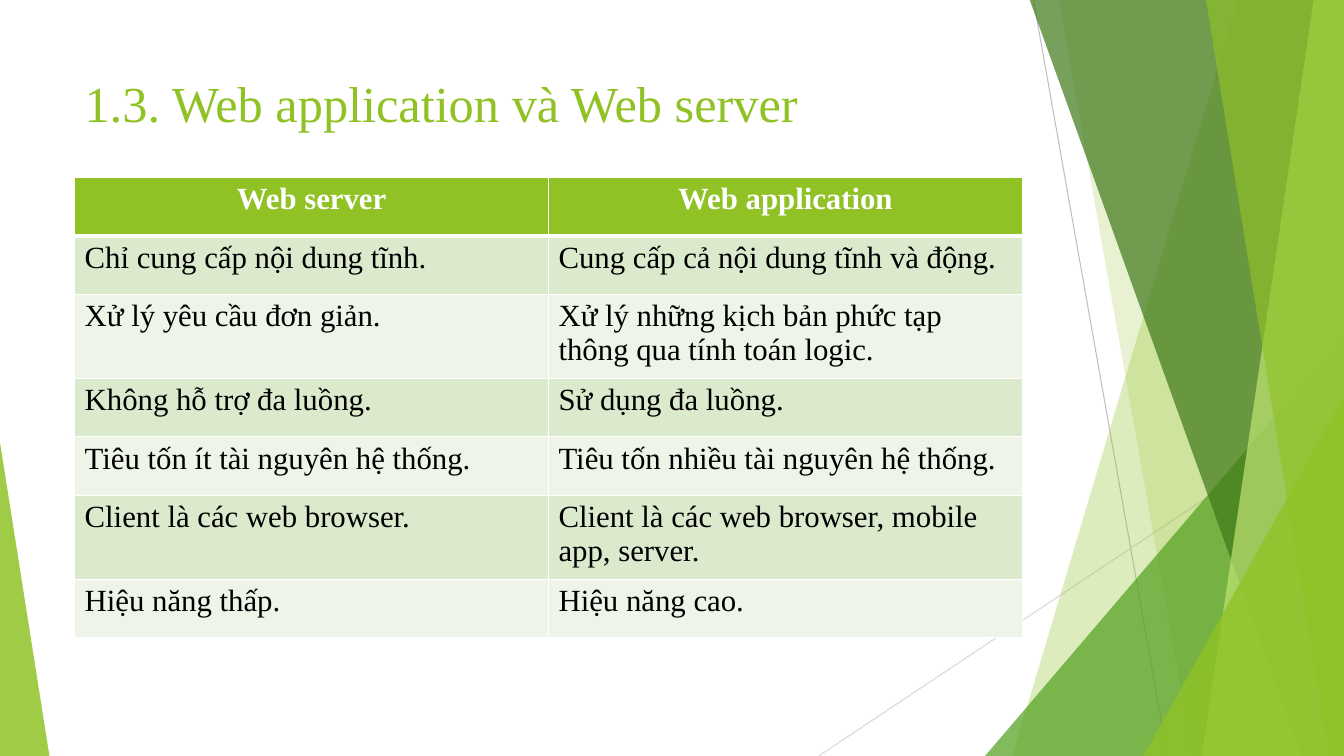
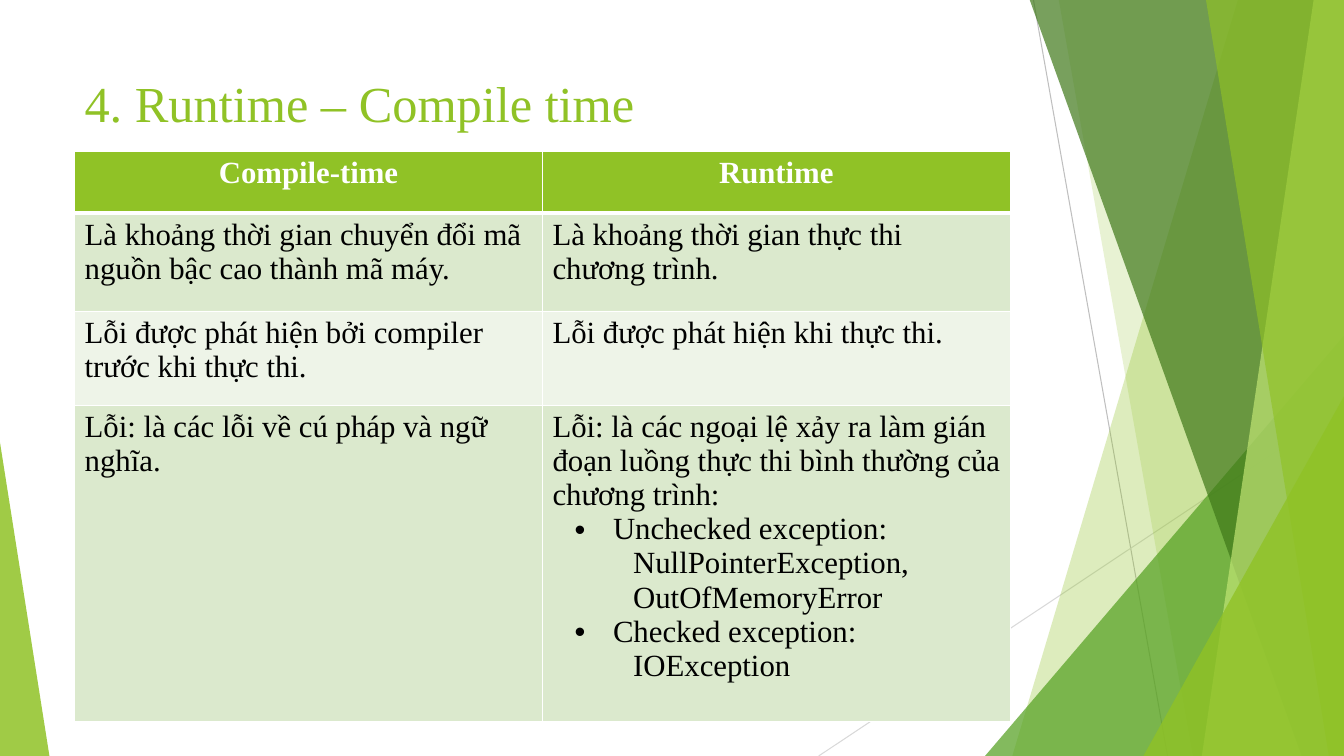
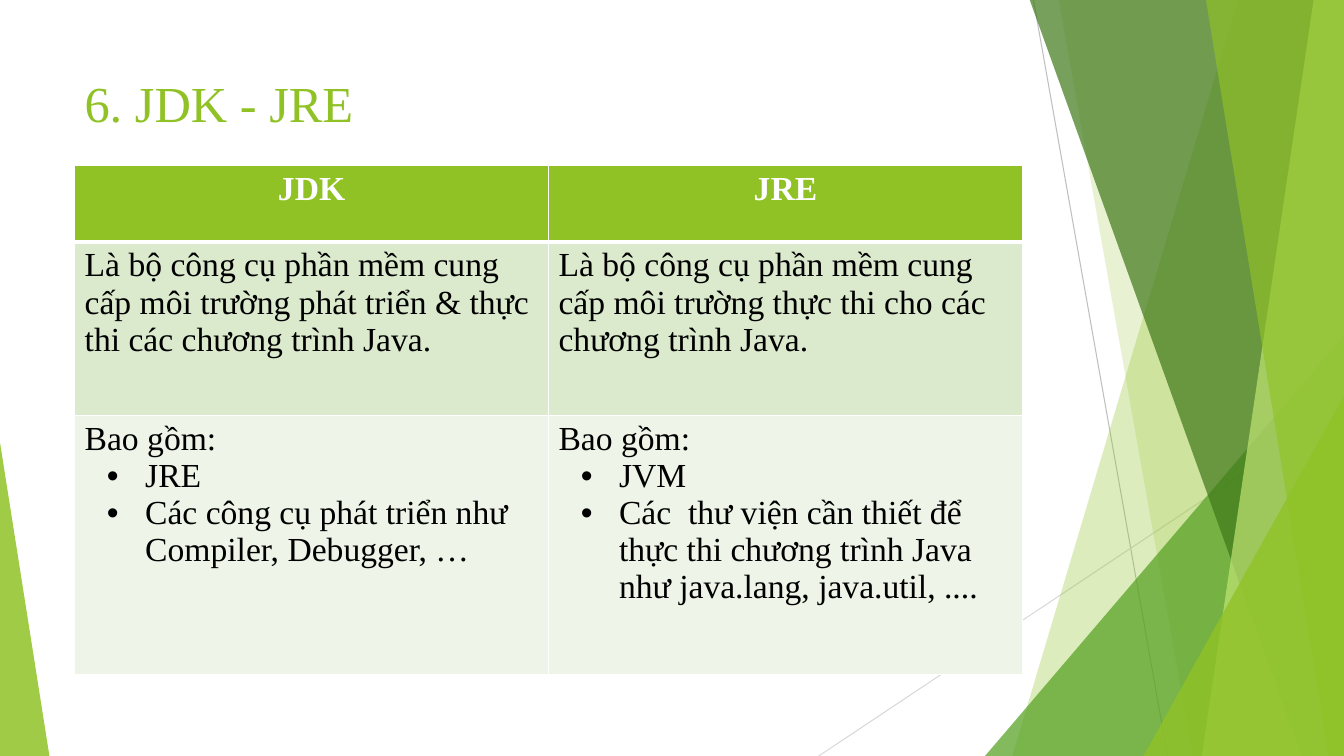
from dataclasses import dataclass
from typing import Any

from lxml import etree
from pptx import Presentation
from pptx.dml.color import RGBColor
from pptx.enum.shapes import MSO_CONNECTOR, MSO_SHAPE
from pptx.enum.text import MSO_ANCHOR, PP_ALIGN
from pptx.oxml.ns import qn
from pptx.util import Emu, Pt

STRAIGHT = MSO_CONNECTOR.STRAIGHT
TRIANGLE = MSO_SHAPE.ISOSCELES_TRIANGLE
TOP = MSO_ANCHOR.TOP
LEFT, CENTER = PP_ALIGN.LEFT, PP_ALIGN.CENTER

EMU_PER_PX = 9144
SLIDE_WIDTH, SLIDE_HEIGHT = 1333, 750
BAND_TOP = -1
MARGIN = 74
TITLE_TOP, TITLE_WIDTH = 67, 940
LINE_WEIGHT, HEADER_RULE_WEIGHT = 1, 3

COLORS = {
    "lime": "90C226",
    "green": "54A021",
    "forest": "3F7819",
    "pale_lime": "C0E474",
    "line": "BFBFBF",
    "light_line": "D9D9D9",
    "row_dark": "DBE9CD",
    "row_light": "EEF4E8",
    "white": "FFFFFF",
    "black": "000000",
}
FONT = "Times New Roman"
TITLE_FORMAT = {"name": FONT, "size": Pt(36), "bold": False}


@dataclass(frozen=True)
class Ray:
    start: tuple[int, int]
    end: tuple[int, int]
    color: str


@dataclass(frozen=True)
class Band:
    top_left: int
    bottom_left: int
    color: str
    opacity: int


@dataclass(frozen=True)
class Corner:
    left: int
    top: int
    width: int
    apex: float
    color: str
    opacity: int


@dataclass(frozen=True)
class Line:
    text: str
    margin: int = 0
    hanging: int = 0


@dataclass(frozen=True)
class Comparison:
    title: str
    title_height: int
    table_top: int
    column_width: int
    font_size: int
    row_heights: list[int]
    rows: list[tuple[Any, Any]]


def bullet(text: str) -> Line:
    return Line(text, 60, 38)


def indented(text: str) -> Line:
    return Line(text, 80)


RAYS = [
    Ray((1025, 0), (1158, 750), "line"),
    Ray((1333, 403), (812, 750), "light_line"),
]
DECORATIONS = [
    Band(1228, 1004, "lime", 30),
    Band(1050, 1183, "lime", 20),
    Corner(977, 333, 356, 1, "green", 72),
    Band(1021, 1291, "forest", 70),
    Band(1303, 1192, "pale_lime", 70),
    Band(1196, 1318, "lime", 65),
    Corner(1134, 393, 199, 1, "lime", 80),
    Corner(0, 439, 49, 0, "lime", 85),
]

COMPARISONS = [
    Comparison(
        "1.3. Web application và Web server", 106, 176, 470, 22, [58] * 7,
        [
            ("Web server", "Web application"),
            ("Chỉ cung cấp nội dung tĩnh.", "Cung cấp cả nội dung tĩnh và động."),
            ("Xử lý yêu cầu đơn giản.",
             "Xử lý những kịch bản phức tạp thông qua tính toán logic."),
            ("Không hỗ trợ đa luồng.", "Sử dụng đa luồng."),
            ("Tiêu tốn ít tài nguyên hệ thống.", "Tiêu tốn nhiều tài nguyên hệ thống."),
            ("Client là các web browser.",
             "Client là các web browser, mobile app, server."),
            ("Hiệu năng thấp.", "Hiệu năng cao."),
        ],
    ),
    Comparison(
        "4. Runtime – Compile time", 83, 150, 464, 22, [61, 98, 93, 314],
        [
            ("Compile-time", "Runtime"),
            ("Là khoảng thời gian chuyển đổi mã nguồn bậc cao thành mã máy.",
             "Là khoảng thời gian thực thi chương trình."),
            ("Lỗi được phát hiện bởi compiler trước khi thực thi.",
             "Lỗi được phát hiện khi thực thi."),
            ("Lỗi: là các lỗi về cú pháp và ngữ nghĩa.",
             [Line("Lỗi: là các ngoại lệ xảy ra làm gián đoạn luồng thực thi "
                   "bình thường của chương trình:"),
              bullet("Unchecked exception:"),
              indented("NullPointerException,"),
              indented("OutOfMemoryError"),
              bullet("Checked exception:"),
              indented("IOException")]),
        ],
    ),
    Comparison(
        "6. JDK - JRE", 97, 164, 470, 24, [76, 172, 257],
        [
            ("JDK", "JRE"),
            ("Là bộ công cụ phần mềm cung cấp môi trường phát triển & thực thi "
             "các chương trình Java.",
             "Là bộ công cụ phần mềm cung cấp môi trường thực thi cho các "
             "chương trình Java."),
            ([Line("Bao gồm:"),
              bullet("JRE"),
              bullet("Các công cụ phát triển như Compiler, Debugger, …")],
             [Line("Bao gồm:"),
              bullet("JVM"),
              bullet("Các  thư viện cần thiết để thực thi chương trình Java như "
                     "java.lang, java.util, ....")]),
        ],
    ),
]


def px(length: int) -> Emu:
    return Emu(length * EMU_PER_PX)


def rgb(color: str) -> RGBColor:
    return RGBColor.from_string(COLORS[color])


def add_run(paragraph: Any, text: str, color: str, font_format: dict[str, Any]) -> None:
    run = paragraph.add_run()
    run.text = text
    for name, value in font_format.items():
        setattr(run.font, name, value)
    run.font.color.rgb = rgb(color)


def paint(shape: Any, color: str, opacity: int) -> None:
    shape.shadow.inherit = False
    shape.line.fill.background()
    shape.fill.solid()
    shape.fill.fore_color.rgb = rgb(color)
    color_node = shape.fill._xPr.find(qn("a:solidFill"))[0]
    etree.SubElement(color_node, qn("a:alpha")).set("val", str(opacity * 1000))


def add_ray(slide: Any, ray: Ray) -> None:
    connector = slide.shapes.add_connector(
        STRAIGHT, *(px(value) for value in ray.start + ray.end))
    connector.line.width = Pt(0.75)
    connector.line.color.rgb = rgb(ray.color)
    etree.SubElement(connector._element.spPr, qn("a:effectLst"))


def add_band(slide: Any, band: Band) -> None:
    builder = slide.shapes.build_freeform(band.top_left, BAND_TOP, scale=EMU_PER_PX)
    builder.add_line_segments([
        (SLIDE_WIDTH, BAND_TOP),
        (SLIDE_WIDTH, SLIDE_HEIGHT),
        (band.bottom_left, SLIDE_HEIGHT),
    ], close=True)
    paint(builder.convert_to_shape(), band.color, band.opacity)


def add_corner(slide: Any, corner: Corner) -> None:
    shape = slide.shapes.add_shape(
        TRIANGLE, px(corner.left), px(corner.top),
        px(corner.width), px(SLIDE_HEIGHT - corner.top))
    shape.adjustments[0] = corner.apex
    paint(shape, corner.color, corner.opacity)


def add_decorations(slide: Any) -> None:
    for ray in RAYS:
        add_ray(slide, ray)
    for decoration in DECORATIONS:
        if isinstance(decoration, Band):
            add_band(slide, decoration)
        else:
            add_corner(slide, decoration)


def add_title(slide: Any, text: str, height: int) -> None:
    text_box = slide.shapes.add_textbox(
        px(MARGIN), px(TITLE_TOP), px(TITLE_WIDTH), px(height))
    frame = text_box.text_frame
    frame.word_wrap = True
    frame.vertical_anchor = TOP
    add_run(frame.paragraphs[0], text, "lime", TITLE_FORMAT)


def set_indent(paragraph: Any, line: Line) -> None:
    properties = paragraph._p.get_or_add_pPr()
    properties.set("marL", str(px(line.margin)))
    properties.set("indent", str(px(-line.hanging)))
    if line.hanging:
        etree.SubElement(properties, qn("a:buFont")).set("typeface", "Arial")
        etree.SubElement(properties, qn("a:buChar")).set("char", "•")


def set_borders(cell: Any, top: int, bottom: int) -> None:
    properties = cell._tc.get_or_add_tcPr()
    weights = {"L": LINE_WEIGHT, "R": LINE_WEIGHT, "T": top, "B": bottom}
    for position, (side, weight) in enumerate(weights.items()):
        border = etree.Element(qn(f"a:ln{side}"), w=str(Pt(weight)))
        fill = etree.SubElement(border, qn("a:solidFill"))
        etree.SubElement(fill, qn("a:srgbClr")).set("val", COLORS["white"])
        properties.insert(position, border)


def fill_cell(cell: Any, content: Any, row_index: int, font_size: int) -> None:
    is_header = row_index == 0
    row_color = "row_dark" if row_index % 2 else "row_light"
    cell.fill.solid()
    cell.fill.fore_color.rgb = rgb("lime" if is_header else row_color)
    set_borders(
        cell,
        top=HEADER_RULE_WEIGHT if row_index == 1 else LINE_WEIGHT,
        bottom=HEADER_RULE_WEIGHT if is_header else LINE_WEIGHT)
    font_format = {"name": FONT, "size": Pt(font_size), "bold": is_header}
    lines = [Line(content)] if isinstance(content, str) else content
    frame = cell.text_frame
    for index, line in enumerate(lines):
        paragraph = frame.add_paragraph() if index else frame.paragraphs[0]
        paragraph.alignment = CENTER if is_header else LEFT
        set_indent(paragraph, line)
        add_run(paragraph, line.text, "white" if is_header else "black", font_format)


def add_comparison_table(slide: Any, comparison: Comparison) -> None:
    column_count = len(comparison.rows[0])
    table = slide.shapes.add_table(
        len(comparison.rows), column_count, px(MARGIN), px(comparison.table_top),
        px(comparison.column_width * column_count),
        px(sum(comparison.row_heights))).table
    for column in table.columns:
        column.width = px(comparison.column_width)
    for row_index, contents in enumerate(comparison.rows):
        table.rows[row_index].height = px(comparison.row_heights[row_index])
        for column_index, content in enumerate(contents):
            fill_cell(table.cell(row_index, column_index), content,
                      row_index, comparison.font_size)


def main() -> None:
    presentation = Presentation()
    presentation.slide_width = px(SLIDE_WIDTH)
    presentation.slide_height = px(SLIDE_HEIGHT)
    blank_layout = presentation.slide_layouts[6]
    for comparison in COMPARISONS:
        slide = presentation.slides.add_slide(blank_layout)
        add_decorations(slide)
        add_title(slide, comparison.title, comparison.title_height)
        add_comparison_table(slide, comparison)
    presentation.save("out.pptx")


if __name__ == "__main__":
    main()
